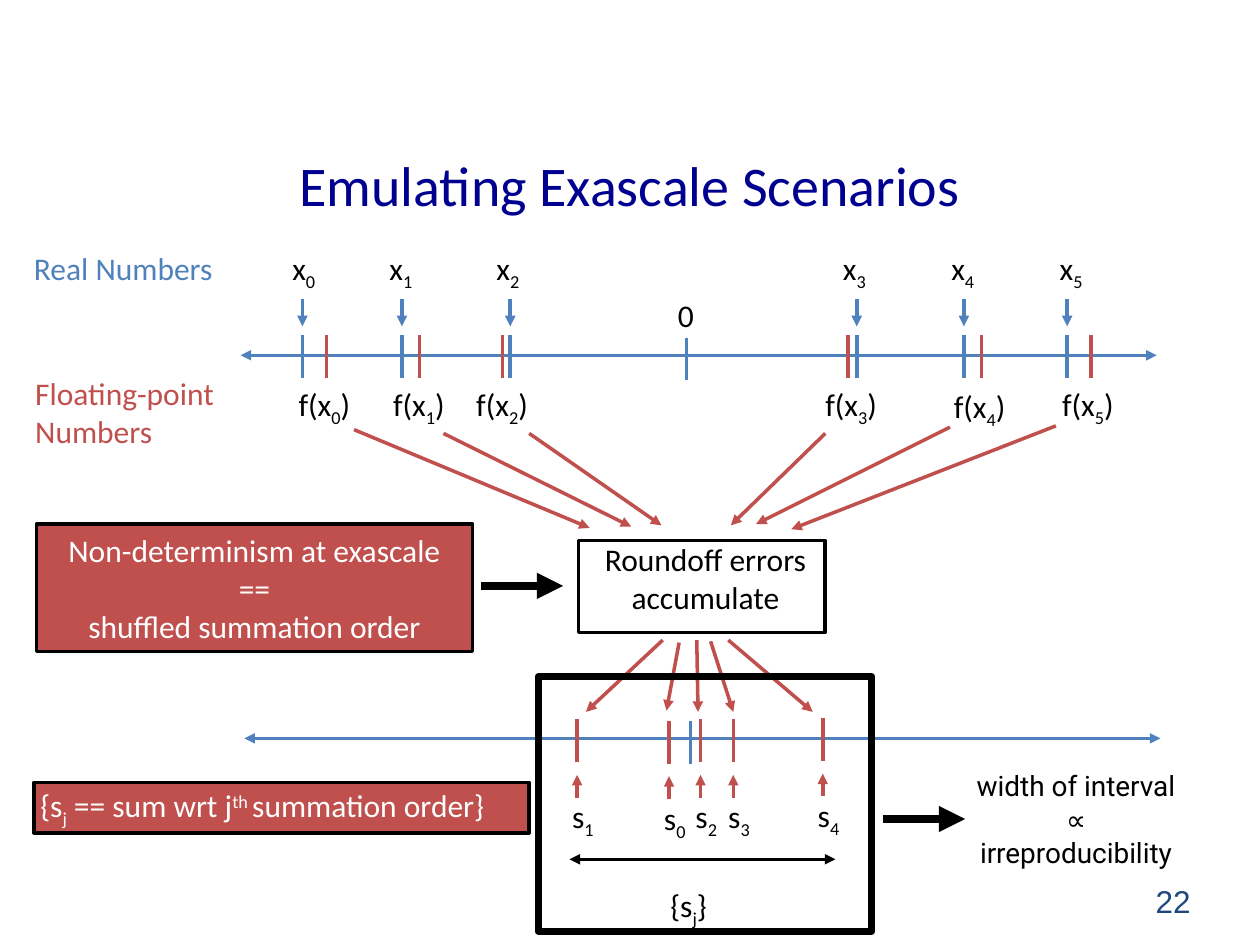
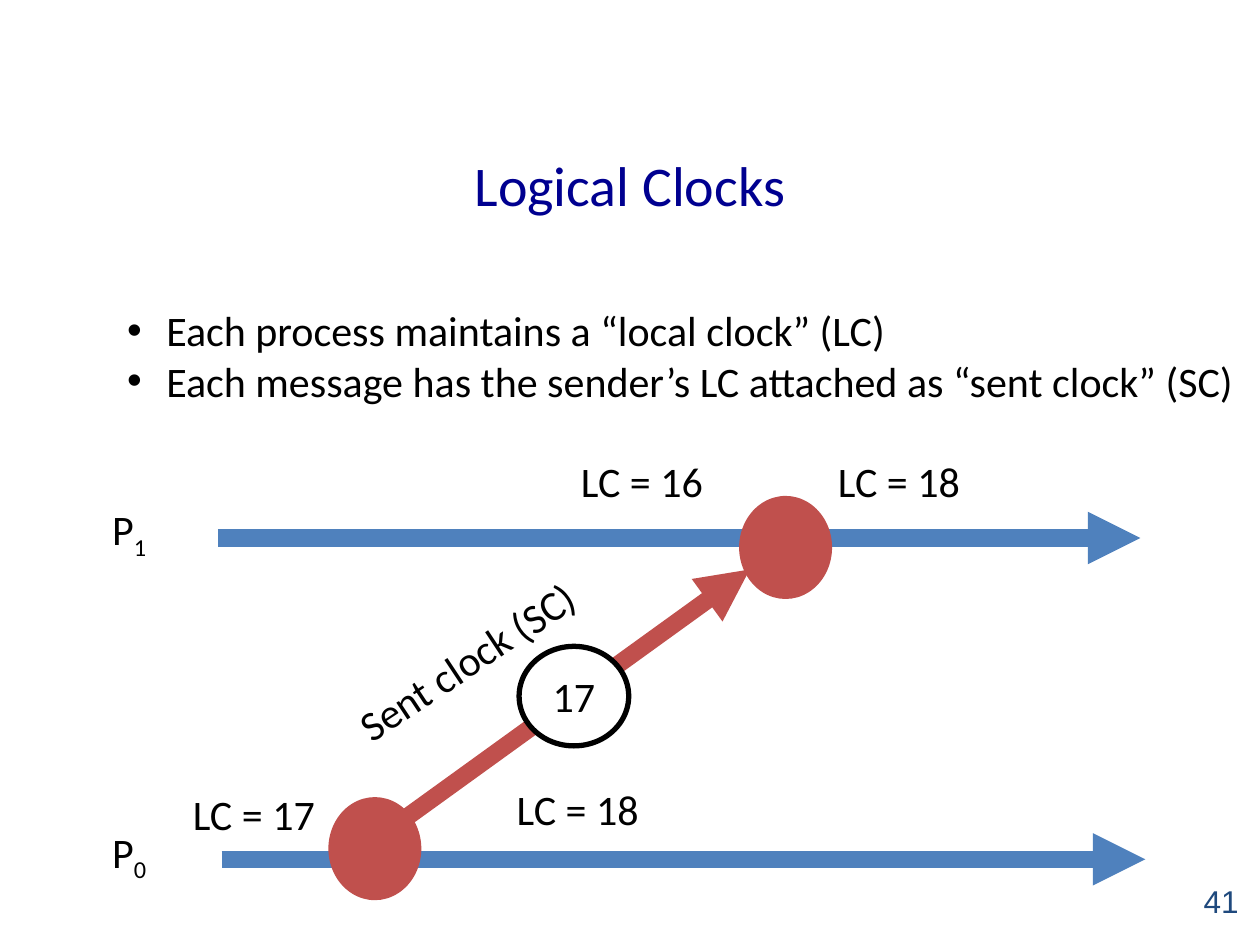
from dataclasses import dataclass
from typing import NamedTuple

from lxml.etree import SubElement
from pptx import Presentation
from pptx.dml.color import RGBColor
from pptx.enum.shapes import MSO_CONNECTOR as Link, MSO_SHAPE as Form
from pptx.enum.text import MSO_ANCHOR as Anchor, MSO_AUTO_SIZE as Fit, PP_ALIGN as Align
from pptx.oxml.ns import qn
from pptx.util import Cm, Pt

BLUE, RED, NAVY, SLATE = "4F81BD", "C0504D", "000090", "1F497D"
BLACK, WHITE = "000000", "FFFFFF"
PAD = 0.05

Point = tuple[float, float]
Box = tuple[float, float, float, float]


@dataclass(frozen=True)
class Style:
    size: int = 18
    color: str = BLACK
    font: str = "Calibri"
    align: Align = Align.LEFT
    anchor: Anchor = Anchor.TOP
    wrap: bool = True
    grow: bool = True
    bullet: bool = False


@dataclass(frozen=True)
class Stroke:
    color: str = RED
    width: float = 2
    head: bool = False
    tail: bool = False


class Term(NamedTuple):
    """A real number, its rounded value and the arrow to the sum box."""
    real: float
    float_: float
    name: Point
    note: Point
    start: Point
    end: Point


class Sum(NamedTuple):
    index: int
    at: float
    drop: float
    start: Point
    end: Point


TITLE = Style(32, NAVY, align=Align.CENTER, anchor=Anchor.MIDDLE, grow=False)
FOOT = Style(18, SLATE, "Arial", Align.RIGHT, Anchor.MIDDLE)
PLAIN = Style()
TIGHT = Style(wrap=False)
MID = Style(align=Align.CENTER)
PANEL = Style(color=WHITE, align=Align.CENTER, anchor=Anchor.MIDDLE)
CODE = Style(color=WHITE, anchor=Anchor.MIDDLE)
BIG = Style(24)
LIST = Style(24, bullet=True)
DISC = Style(24, align=Align.CENTER, anchor=Anchor.MIDDLE, grow=False)

TICK = Stroke(BLUE)
MARK = Stroke(RED)
POINTER = Stroke(BLUE, tail=True)
FLOW = Stroke(RED, tail=True)
AXIS = Stroke(BLUE, head=True, tail=True)
SPAN = Stroke(BLACK, head=True, tail=True)
BOLD = Stroke(BLACK, 5, tail=True)
TIME = Stroke(BLUE, 10, tail=True)
SEND = Stroke(RED, 10, tail=True)

TERMS = [
    Term(2.4, 2.59, (2.27, 1.93), (2.32, 3.01), (2.81, 3.41), (4.68, 4.19)),
    Term(3.19, 3.33, (3.04, 1.93), (3.07, 3.01), (3.52, 3.44), (5.01, 4.18)),
    Term(4.05, 3.99, (3.89, 1.93), (3.73, 3.01), (4.2, 3.44), (5.25, 4.17)),
    Term(6.8, 6.73, (6.64, 1.93), (6.5, 3.01), (6.55, 3.44), (5.8, 4.17)),
    Term(7.65, 7.79, (7.5, 1.93), (7.52, 3.02), (7.54, 3.39), (6, 4.16)),
    Term(8.47, 8.66, (8.36, 1.93), (8.38, 3.01), (8.38, 3.38), (6.28, 4.2)),
]

SUMS = [
    Sum(0, 5.31, 0.01, (5.39, 5.1), (5.29, 5.64)),
    Sum(1, 4.58, 0, (5.26, 5.08), (4.65, 5.65)),
    Sum(2, 5.56, 0, (5.53, 5.08), (5.54, 5.65)),
    Sum(3, 5.82, 0, (5.64, 5.09), (5.82, 5.65)),
    Sum(4, 6.53, -0.01, (5.78, 5.08), (6.45, 5.65)),
]


def rgb(color: str) -> RGBColor:
    return RGBColor.from_string(color)


def dist(*inches: float) -> list[Cm]:
    return [Cm(n * 2.54) for n in inches]


def assign(target, values: dict) -> None:
    for key, value in values.items():
        setattr(target, key, value)


def write(shape, text: str, style: Style) -> None:
    """Fill a shape; odd parts between bars are subscripts, or superscripts after ^."""
    frame = shape.text_frame
    pad, = dist(PAD)
    assign(frame, {
        "margin_left": pad, "margin_right": pad,
        "margin_top": pad, "margin_bottom": pad,
        "word_wrap": style.wrap, "vertical_anchor": style.anchor,
        "auto_size": Fit.SHAPE_TO_FIT_TEXT if style.grow else Fit.NONE,
    })
    for row, line in enumerate(text.split("\n")):
        para = frame.add_paragraph() if row else frame.paragraphs[0]
        para.alignment = style.align
        if style.bullet:
            props = para._p.get_or_add_pPr()
            indent, = dist(0.31)
            props.set("marL", str(indent))
            props.set("indent", str(-indent))
            SubElement(props, qn("a:buFont")).set("typeface", "Arial")
            SubElement(props, qn("a:buChar")).set("char", "•")
        for turn, part in enumerate(line.split("|")):
            if not part:
                continue
            run = para.add_run()
            run.text = part.lstrip("^")
            assign(run.font, {"size": Pt(style.size), "name": style.font})
            run.font.color.rgb = rgb(style.color)
            if turn % 2:
                shift = "30000" if part.startswith("^") else "-25000"
                run._r.get_or_add_rPr().set("baseline", shift)


def label(slide, text: str, box: Box, style: Style = PLAIN, turn: float = 0) -> None:
    shape = slide.shapes.add_textbox(*dist(*box))
    shape.rotation = turn
    write(shape, text, style)


def block(slide, form: Form, box: Box, fill: str | None, edge: Stroke,
          text: str = "", style: Style = PANEL) -> None:
    shape = slide.shapes.add_shape(form, *dist(*box))
    shape.shadow.inherit = False
    if fill:
        shape.fill.solid()
        shape.fill.fore_color.rgb = rgb(fill)
    else:
        shape.fill.background()
    shape.line.color.rgb = rgb(edge.color)
    shape.line.width = Pt(edge.width)
    if text:
        write(shape, text, style)


def draw(slide, start: Point, end: Point, stroke: Stroke) -> None:
    link = slide.shapes.add_connector(Link.STRAIGHT, *dist(*start, *end))
    link.line.color.rgb = rgb(stroke.color)
    link.line.width = Pt(stroke.width)
    ends = {"a:headEnd": stroke.head, "a:tailEnd": stroke.tail}
    for tag, shown in ends.items():
        if shown:
            SubElement(link.line._get_or_add_ln(), qn(tag)).set("type", "triangle")
    SubElement(link._element.spPr, qn("a:effectLst"))


def rise(slide, at: float, top: float, low: float, stroke: Stroke) -> None:
    """Draw an upright line from top to low."""
    draw(slide, (at, top), (at, low), stroke)


def start_slide(deck, title: str, number: int, left: float):
    slide = deck.slides.add_slide(deck.slide_layouts[6])
    label(slide, title, (0.5, 0.92, 9, 1.08), TITLE)
    label(slide, str(number), (left, 6.95, 2.33, 0.4), FOOT)
    return slide


def add_exascale(deck) -> None:
    slide = start_slide(deck, "Emulating Exascale Scenarios", 22, 7.17)
    draw(slide, (1.91, 2.82), (9.18, 2.82), AXIS)
    rise(slide, 5.45, 2.68, 3.02, TICK)
    label(slide, "0", (5.33, 2.3, 0.55, 0.4))
    label(slide, "Real Numbers", (0.22, 1.93, 1.54, 0.4), Style(color=BLUE, wrap=False))
    label(slide, "Floating-point\nNumbers", (0.23, 2.92, 1.6, 0.71),
          Style(color=RED, wrap=False))
    for index, term in enumerate(TERMS):
        rise(slide, term.real, 2.66, 3, TICK)
        rise(slide, term.float_, 2.66, 3, MARK)
        rise(slide, term.real, 2.37, 2.59, POINTER)
        label(slide, f"x|{index}", (*term.name, 0.58, 0.4))
        label(slide, f"f(x|{index}|)", (*term.note, 0.53, 0.4), TIGHT)
        draw(slide, term.start, term.end, FLOW)

    label(slide, "Roundoff errors\naccumulate", (4.65, 4.24, 1.9, 0.71), MID)
    block(slide, Form.RECTANGLE, (4.59, 4.29, 1.96, 0.73), None, Stroke(BLACK))
    block(slide, Form.RECTANGLE, (0.29, 4.16, 3.46, 1.01), RED, Stroke(BLACK),
          "Non-determinism at exascale\n==\nshuffled summation order")
    draw(slide, (3.82, 4.65), (4.47, 4.65), BOLD)

    draw(slide, (1.94, 5.86), (9.21, 5.86), AXIS)
    rise(slide, 5.48, 5.72, 6.06, TICK)
    for item in SUMS:
        rise(slide, item.at, 6.05 + item.drop, 5.71 + item.drop, MARK)
        rise(slide, item.at, 6.33 + item.drop, 6.15 + item.drop, FLOW)
        label(slide, f"s|{item.index}", (item.at - 0.09, 6.28 + item.drop, 0.47, 0.4))
        draw(slide, item.start, item.end, FLOW)
    draw(slide, (4.52, 6.82), (6.63, 6.82), SPAN)
    label(slide, "{s|j|}", (5.27, 6.98, 0.4, 0.4), TIGHT)
    block(slide, Form.RECTANGLE, (0.27, 6.21, 3.93, 0.4), RED, Stroke(BLACK),
          "{s|j| == sum wrt j|^th |summation order}", CODE)
    block(slide, Form.RECTANGLE, (4.27, 5.37, 2.65, 2.02), None, Stroke(BLACK, 4))
    draw(slide, (7.01, 6.5), (7.66, 6.5), BOLD)
    label(slide, "width of interval\n∝\nirreproducibility", (7.68, 6.05, 1.72, 0.91),
          Style(16, font="Roboto", align=Align.CENTER, wrap=False))


def add_clocks(deck) -> None:
    slide = start_slide(deck, "Logical Clocks", 41, 7.55)
    label(slide, "Each process maintains a “local clock” (LC)\n"
          "Each message has the sender’s LC attached as “sent clock” (SC)",
          (0.96, 2.37, 9.25, 0.91), LIST)
    label(slide, "Sent clock (SC)", (2.63, 4.87, 2.52, 0.5), BIG, 326.5)
    draw(slide, (1.73, 4.27), (9.05, 4.27), TIME)
    draw(slide, (1.76, 6.82), (9.09, 6.82), TIME)
    draw(slide, (3.07, 6.6), (5.95, 4.52), SEND)
    block(slide, Form.OVAL, (4.12, 5.13, 0.87, 0.79), WHITE, Stroke(BLACK, 3), "17", DISC)
    for event in ((5.88, 3.95), (2.62, 6.34)):
        block(slide, Form.OVAL, (*event, 0.71, 0.79), RED, MARK)
    for index, top in enumerate((6.51, 3.95)):
        label(slide, f"P|{index}", (0.84, top, 0.78, 0.5), BIG)
    for clock, left, top in ((17, 1.48, 6.21), (18, 4.05, 6.17),
                             (16, 4.56, 3.57), (18, 6.6, 3.57)):
        label(slide, f"LC = {clock}", (left, top, 1.31, 0.5), BIG)


def main() -> None:
    deck = Presentation()
    deck.slide_width, deck.slide_height = dist(10, 7.5)
    add_exascale(deck)
    add_clocks(deck)
    deck.save("out.pptx")


if __name__ == "__main__":
    main()
